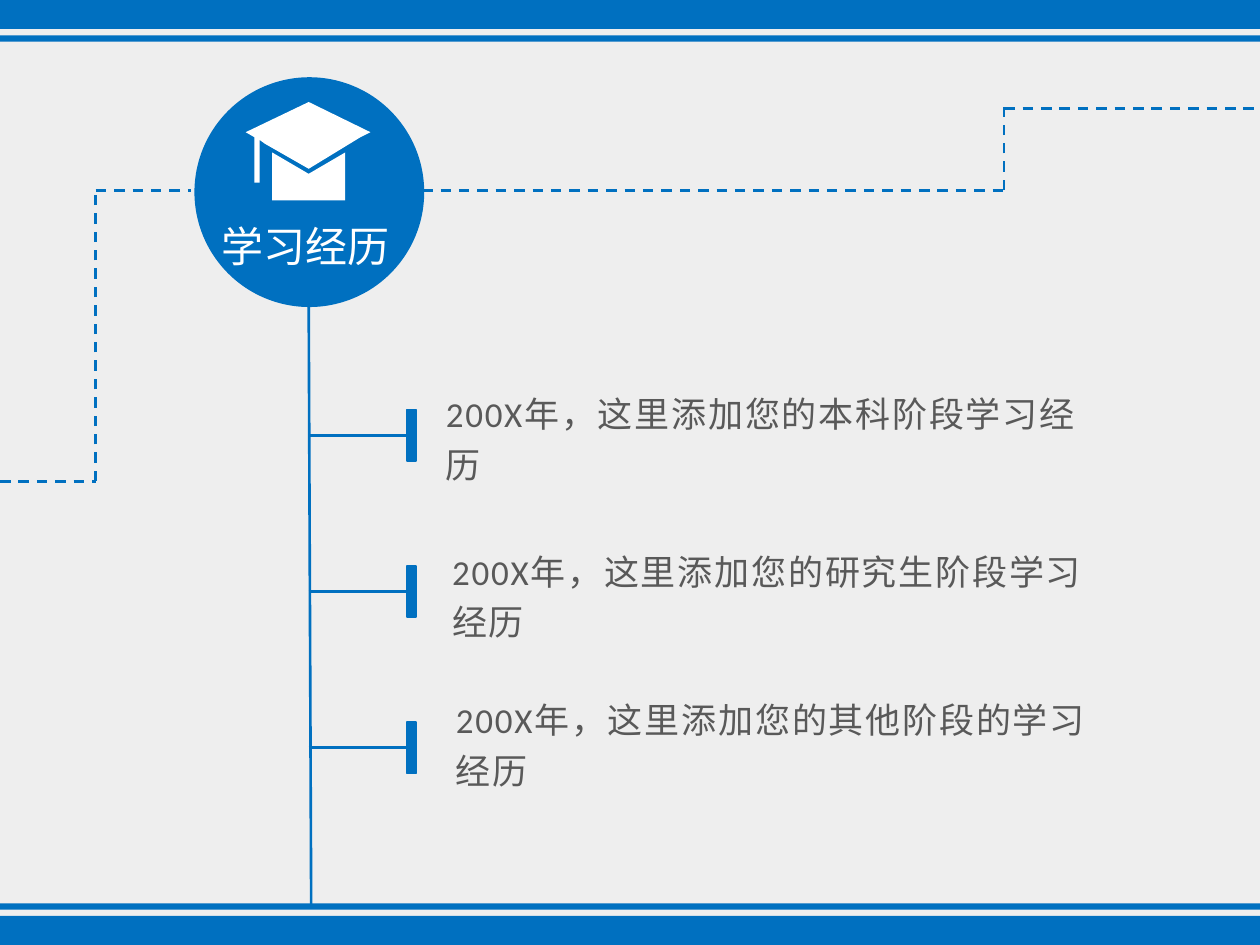
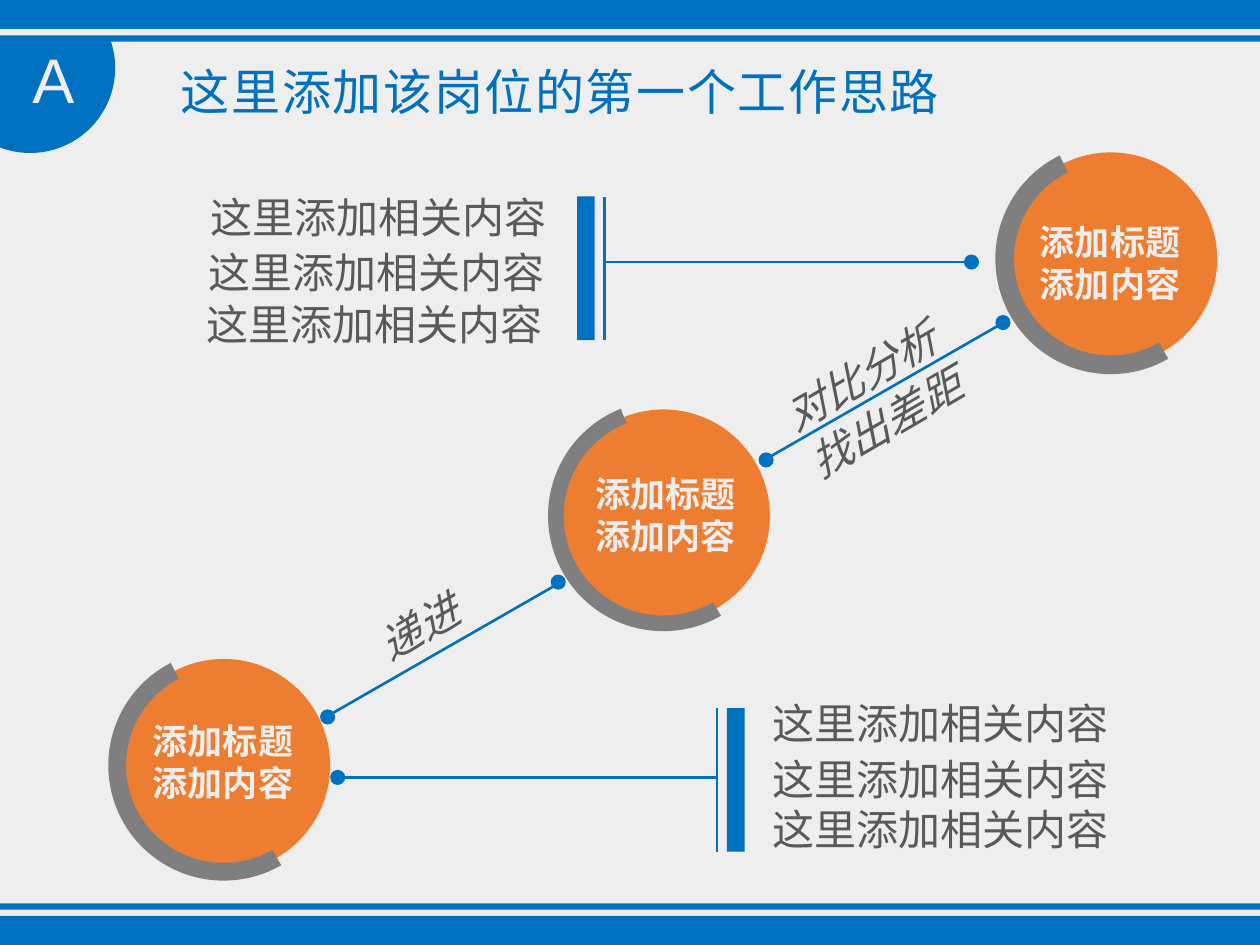
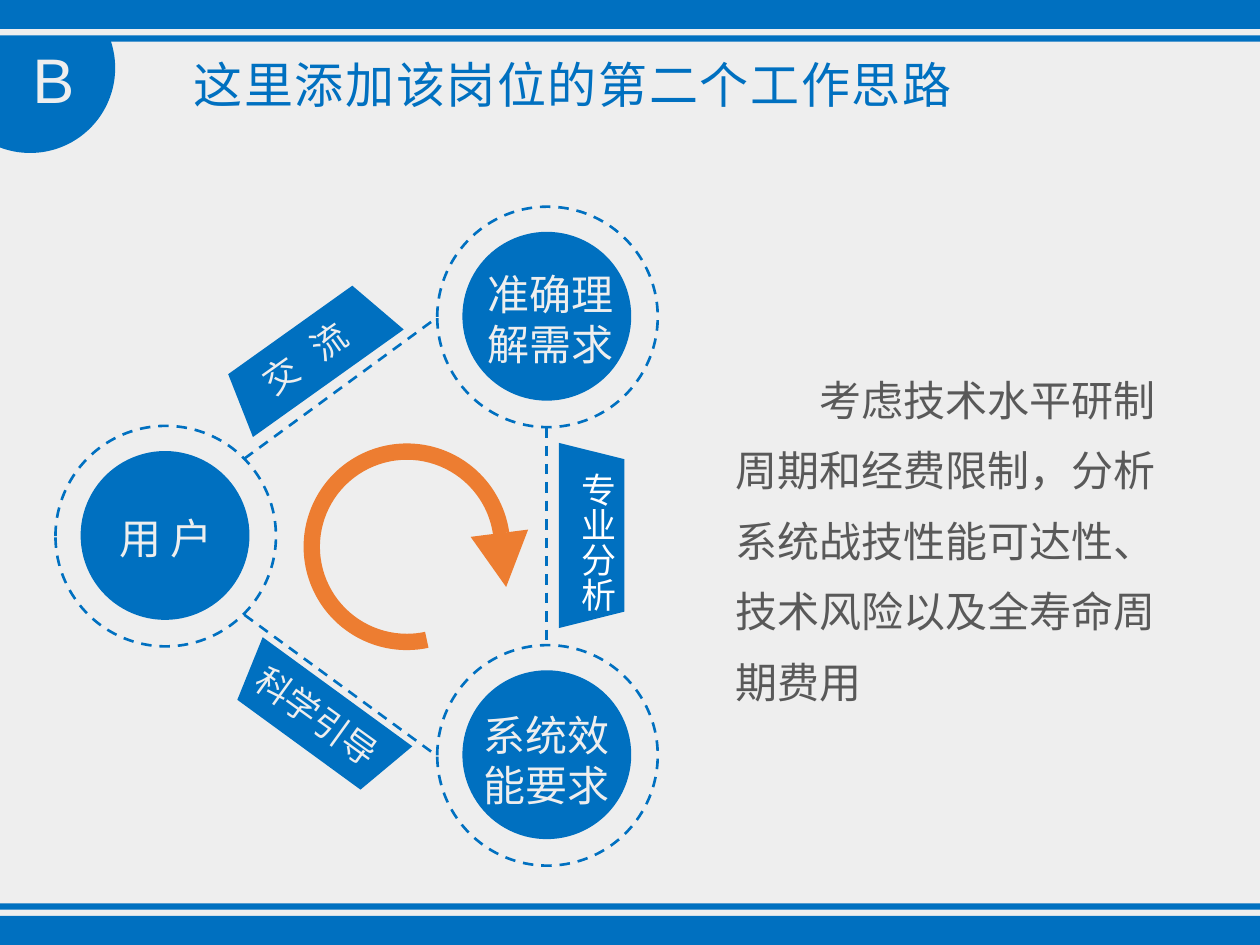
from math import cos, radians, sin

from lxml.etree import SubElement
from pptx import Presentation
from pptx.dml.color import RGBColor
from pptx.enum.dml import MSO_LINE
from pptx.enum.shapes import MSO_CONNECTOR, MSO_SHAPE as SHAPE
from pptx.enum.text import MSO_AUTO_SIZE, MSO_ANCHOR, PP_ALIGN as ALIGN
from pptx.oxml.ns import qn
from pptx.util import Inches, Pt

BLUE, ORANGE, GRAY = "0070C0", "ED7D31", "7F7F7F"
PALE, WHITE, DARK = "EEEEEE", "FFFFFF", "595959"
CJK = "Noto Sans CJK SC"
LINE = MSO_CONNECTOR.STRAIGHT
rgb = RGBColor.from_string


def style(shape, fill=None, line=None, width=1.5, dash=False):
    """Set fill and outline, and take the shadow off a shape or connector."""
    if fill:
        shape.fill.solid()
        shape.fill.fore_color.rgb = rgb(fill)
    elif hasattr(shape, "fill"):
        shape.fill.background()
    if line:
        shape.line.color.rgb = rgb(line)
        shape.line.width = Pt(width)
        if dash:
            shape.line.dash_style = MSO_LINE.DASH
    else:
        shape.line.fill.background()
    if hasattr(shape, "shadow"):
        shape.shadow.inherit = False
    else:
        SubElement(shape.element.spPr, qn("a:effectLst"))
    return shape


def write(s, box, lines, size, color, font="Calibri", title=False, wrap=False, align=ALIGN.LEFT,
          bold=None, italic=None, spc=0, spacing=None, indent=0, rot=0):
    """Put one paragraph per line into the slide's title or a new text box."""
    x, y, w, h = map(Inches, box)
    if title:
        shape = s.shapes.title
        shape.left, shape.top, shape.width, shape.height = x, y, w, h
        s.shapes.element.append(shape.element)
    else:
        shape = s.shapes.add_textbox(x, y, w, h)
    shape.rotation = rot
    tf = shape.text_frame
    tf.word_wrap = wrap
    tf.auto_size = MSO_AUTO_SIZE.SHAPE_TO_FIT_TEXT
    tf.vertical_anchor = MSO_ANCHOR.TOP
    for i, line in enumerate(lines):
        p = tf.add_paragraph() if i else tf.paragraphs[0]
        p.alignment = align
        p.line_spacing = spacing
        if indent:
            p._p.get_or_add_pPr().set("indent", str(Pt(indent)))
        r = p.add_run()
        r.text = line
        r.font.name, r.font.size = font, Pt(size)
        r.font.bold, r.font.italic = bold, italic
        r.font.color.rgb = rgb(color)
        rPr = r._r.get_or_add_rPr()
        SubElement(rPr, qn("a:ea")).set("typeface", CJK)
        if spc:
            rPr.set("spc", str(round(spc * 100)))
    return shape


prs = Presentation()
prs.slide_width, prs.slide_height = Inches(10), Inches(7.5)
history, first, second = [prs.slides.add_slide(prs.slide_layouts[5]) for _ in range(3)]

# Shared background and bands live on the master
master = prs.slide_master
master.background.fill.solid()
master.background.fill.fore_color.rgb = rgb(PALE)
for i, (y, h) in enumerate([(0, 0.23), (0.28, 0.05), (7.17, 0.05), (7.27, 0.23)]):
    band = style(history.shapes.add_shape(SHAPE.RECTANGLE, 0, Inches(y), prs.slide_width, Inches(h)), BLUE)
    band.element.nvSpPr.cNvPr.set("id", str(100 + i))
    master.shapes.element.insert(2 + i, band.element)

# Straight lines: from x, y to x, y, dashed or not
for s, dash, ends in [
    (history, True, [(0, 3.82, 0.76, 3.82), (0.76, 3.82, 0.76, 1.53), (0.76, 1.51, 1.52, 1.51),
                     (3.35, 1.51, 7.97, 1.51), (7.97, 1.51, 7.97, 0.85), (7.97, 0.86, 10.08, 0.86)]),
    (history, False, [(2.45, 2.42, 2.47, 7.2)]),
    (first, False, [(2.73, 6.17, 5.69, 6.17), (4.8, 2.08, 7.65, 2.08), (6.05, 3.66, 8, 2.54),
                    (2.57, 5.7, 4.47, 4.61), (4.8, 2.7, 4.8, 1.56), (5.69, 6.76, 5.69, 5.62)]),
    (second, True, [(1.94, 3.64, 3.47, 2.52), (4.34, 3.39, 4.34, 5.12), (1.94, 4.88, 3.47, 6)]),
]:
    for end in ends:
        style(s.shapes.add_connector(LINE, *map(Inches, end)), line=BLUE, dash=dash)

# Slide 1: study history
s = history
style(s.shapes.add_shape(SHAPE.OVAL, *map(Inches, (1.55, 0.62, 1.81, 1.81))), BLUE, BLUE, 1)
cap_board = [(2.1, 1.14), (2.45, 1.34), (2.86, 1.09), (2.94, 1.05), (2.45, 0.81), (1.95, 1.05),
             (2.02, 1.09), (2.02, 1.45), (2.06, 1.45), (2.06, 1.11)]
cap_base = [(2.74, 1.21), (2.45, 1.38), (2.16, 1.21), (2.16, 1.59), (2.74, 1.59)]
for part in (cap_board, cap_base):
    points = [(Inches(x), Inches(y)) for x, y in part]
    outline = s.shapes.build_freeform(*points[0])
    outline.add_line_segments(points[1:])
    style(outline.convert_to_shape(), WHITE)
write(s, (1.66, 1.7, 1.55, 0.5), ["学习经历"], 24, WHITE, CJK, title=True)

for i, (x, y, w, stage) in enumerate([(3.44, 3, 5.44, "本科阶段学习经历"),
                                      (3.49, 4.25, 5.31, "研究生阶段学习经历"),
                                      (3.52, 5.43, 5.31, "其他阶段的学习经历")]):
    top, height = 3.25 + i * 1.24, 0.41
    tick = style(s.shapes.add_shape(SHAPE.RECTANGLE, *map(Inches, (3.23, top, 0.07, height))), BLUE, BLUE, 1)
    mid = top + height / 2
    branch = style(s.shapes.add_connector(LINE, *map(Inches, (2.45, mid, 3.23, mid))), line=BLUE)
    branch.end_connect(tick, 1)
    write(s, (x, y, w, 0.91), ["200X年，这里添加您的" + stage], 20, DARK, wrap=True, spc=1, spacing=1.2)

# Slides 2 and 3: lettered corner badge and title
badge = [(Inches(0.24 + 0.675 * cos(radians(a))), Inches(0.54 + 0.675 * sin(radians(a))))
         for a in range(-19, 200, 2)]
for s, letter, w, box, title in [
    (first, "A", 0.6, (0.53, 0.44, 8.53, 0.57), "这里添加该岗位的第一个工作思路"),
    (second, "B", 0.56, (0.63, 0.38, 8.7, 0.57), "这里添加该岗位的第二个工作思路"),
]:
    write(s, box, [title], 28, BLUE, CJK, title=True, wrap=True, spc=1, indent=58)
    outline = s.shapes.build_freeform(*badge[0])
    outline.add_line_segments(badge[1:])
    style(outline.convert_to_shape(), BLUE)
    write(s, (0.16, 0.27, w, 0.71), [letter], 36, PALE, "Arial")

# Slide 2: three steps joined by lines
s = first
for x, y in [(1.57, 1.47), (1.56, 1.91), (1.54, 2.32), (6.03, 5.49), (6.03, 5.93), (6.03, 6.33)]:
    write(s, (x, y, 2.89, 0.5), ["这里添加相关内容"], 24, DARK)
for x, y in [(4.58, 1.56), (5.77, 5.62)]:
    style(s.shapes.add_shape(SHAPE.RECTANGLE, *map(Inches, (x, y, 0.14, 1.14))), BLUE)
for x, y, text_x, text_y, arc_end, thickness in [(7.97, 1.21, 8.15, 1.7, 146.24, 0.081),
                                                 (4.42, 3.25, 4.62, 3.7, 148.98, 0.068),
                                                 (0.93, 5.23, 1.11, 5.66, 145.62, 0.077)]:
    style(s.shapes.add_shape(SHAPE.OVAL, *map(Inches, (x, y, 1.69, 1.69))), ORANGE)
    write(s, (text_x, text_y, 1.32, 0.77), ["添加标题", "添加内容"], 20, PALE, align=ALIGN.CENTER, bold=True)
    arc = style(s.shapes.add_shape(SHAPE.BLOCK_ARC, *map(Inches, (x - 0.07, y - 0.07, 1.83, 1.83))), GRAY)
    for i, value in enumerate((36, arc_end, thickness)):
        arc.adjustments[i] = value
for x, y in [(2.62, 6.11), (7.65, 2.02), (6.02, 3.59), (7.9, 2.5), (2.54, 5.63), (4.37, 4.56)]:
    style(s.shapes.add_shape(SHAPE.OVAL, *map(Inches, (x, y, 0.12, 0.12))), BLUE)
for x, y, w, label in [(6.06, 2.73, 1.55, "对比分析"), (6.26, 3.1, 1.55, "找出差距"), (2.89, 4.72, 0.88, "递进")]:
    write(s, (x, y, w, 0.5), [label], 24, DARK, italic=True, rot=329.7)

# Slide 3: cycle of three roles
s = second
write(s, (5.74, 2.76, 3.7, 2.93),
      ["考虑技术水平研制周期和经费限制，分析系统战技性能可达性、技术风险以及全寿命周期费用"],
      24, DARK, wrap=True, spacing=1.4, indent=48)
for x, y, text_box, lines in [(0.44, 3.38, (0.85, 4.02, 0.95, 0.5), ["用 户"]),
                              (3.47, 1.64, (3.77, 2.08, 1.21, 0.91), ["准确理", "解需求"]),
                              (3.47, 5.12, (3.74, 5.58, 1.21, 0.91), ["系统效", "能要求"])]:
    style(s.shapes.add_shape(SHAPE.OVAL, *map(Inches, (x + 0.2, y + 0.2, 1.34, 1.34))), BLUE)
    write(s, text_box, lines, 24, PALE)
    style(s.shapes.add_shape(SHAPE.OVAL, *map(Inches, (x, y, 1.75, 1.75))), line=BLUE, dash=True)

for x, y, rot in [(1.72, 2.57, 324.5), (3.96, 3.99, 90), (1.79, 5.44, 216.1)]:
    tab = style(s.shapes.add_shape(SHAPE.TRAPEZOID, *map(Inches, (x, y, 1.47, 0.52))), BLUE)
    tab.rotation = rot
write(s, (1.95, 2.6, 1.02, 0.47), ["交流"], 20, PALE, spc=13.6, rot=324.5)
write(s, (1.86, 5.47, 1.32, 0.44), ["科学引导"], 20, PALE, rot=35.9)
upright = write(s, (4.38, 3.65, 0.58, 1.31), ["专业分析"], 20, WHITE)
upright.element.txBody.bodyPr.set("vert", "eaVert")

ring = style(s.shapes.add_shape(SHAPE.BLOCK_ARC, *map(Inches, (2.41, 3.52, 1.64, 1.64))), ORANGE)
for i, value in enumerate((46.76, 211.16, 0.079)):
    ring.adjustments[i] = value
head = style(s.shapes.add_shape(SHAPE.ISOSCELES_TRIANGLE, *map(Inches, (3.76, 4.23, 0.46, 0.43))), ORANGE)
head.rotation = 172.8

prs.save("out.pptx")
